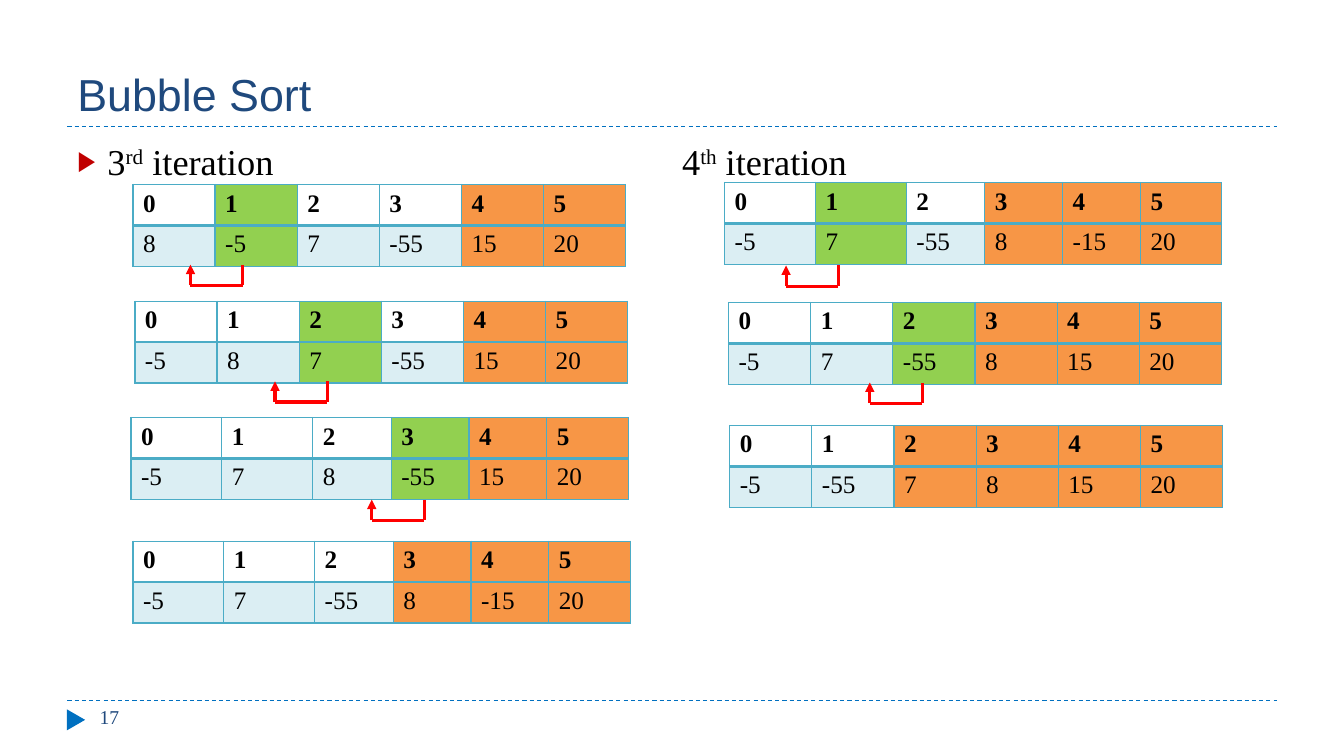
from lxml import etree
from pptx import Presentation
from pptx.dml.color import RGBColor
from pptx.enum.dml import MSO_LINE
from pptx.enum.shapes import MSO_CONNECTOR, MSO_SHAPE
from pptx.enum.text import MSO_ANCHOR
from pptx.oxml.ns import qn
from pptx.util import Cm, Pt

STRAIGHT = MSO_CONNECTOR.STRAIGHT
TRIANGLE = MSO_SHAPE.ISOSCELES_TRIANGLE
DASH = MSO_LINE.DASH
TOP = MSO_ANCHOR.TOP
BOTTOM = MSO_ANCHOR.BOTTOM

COLORS = {
    "title": "1F497D",
    "rule": "0070C0",
    "bullet": "C00000",
    "text": "000000",
    "grid": "4BACC6",
    "current": "92D050",
    "sorted": "F79646",
    "swap": "FF0000",
}
SERIF = "Times New Roman"
SANS = "Arial"
EVEN = [2.07] * 6
UNEVEN = [2.29, 2.29, 1.98, 1.96, 1.96, 2.05]
ROW_HEIGHT = 1.03
SWAP_WIDTH = 1.32
SWAP_HEIGHT = 0.52

STEPS = [
    (3.35, 4.65, EVEN, "8 -5 7 -55 15 20", 1, 4),
    (3.4, 7.59, EVEN, "-5 8 7 -55 15 20", 2, 4),
    (3.3, 10.52, UNEVEN, "-5 7 8 -55 15 20", 3, 4),
    (3.35, 13.64, UNEVEN, "-5 7 -55 8 -15 20", None, 3),
    (18.26, 4.6, UNEVEN, "-5 7 -55 8 -15 20", 1, 3),
    (18.36, 7.62, EVEN, "-5 7 -55 8 15 20", 2, 3),
    (18.39, 10.72, EVEN, "-5 -55 7 8 15 20", None, 2),
]
SWAPS = [(4.8, 7.19), (6.93, 10.13), (9.37, 13.11), (19.81, 7.21), (21.92, 10.16)]


def color(name):
    return RGBColor.from_string(COLORS[name])


def add_element(parent, tag, **attributes):
    element = etree.SubElement(parent, qn(tag))
    for key, value in attributes.items():
        element.set(key, str(value))
    return element


def write_span(para, text, size=18, font=SERIF, ink="text", bold=False, raised=False):
    span = para.add_run()
    span.text = text
    span.font.size = Pt(size)
    span.font.name = font
    span.font.bold = bold
    span.font.color.rgb = color(ink)
    if raised:
        span.font._element.set("baseline", "30000")


class SortPage:
    def __init__(self, deck):
        self.page = deck.slides.add_slide(deck.slide_layouts[6])

    def line(self, x1, y1, x2, y2, ink, width, dash=None, arrow=False):
        line = self.page.shapes.add_connector(STRAIGHT, Cm(x1), Cm(y1), Cm(x2), Cm(y2))
        line.line.color.rgb = color(ink)
        line.line.width = Pt(width)
        if dash:
            line.line.dash_style = dash
        if arrow:
            add_element(line.line._get_or_add_ln(), "a:tailEnd", type="triangle")
        add_element(line._element.spPr, "a:effectLst")

    def marker(self, left, top, width, height):
        marker = self.page.shapes.add_shape(
            TRIANGLE, Cm(left), Cm(top), Cm(width), Cm(height))
        marker.rotation = 90
        marker.shadow.inherit = False
        marker.fill.solid()
        marker.fill.fore_color.rgb = color("rule")
        marker.line.fill.background()

    def text(self, left, top, width, height, spans, anchor=TOP, **style):
        box = self.page.shapes.add_textbox(Cm(left), Cm(top), Cm(width), Cm(height))
        box.text_frame.word_wrap = True
        box.text_frame.vertical_anchor = anchor
        para = box.text_frame.paragraphs[0]
        for text, raised in spans:
            write_span(para, text, raised=raised, **style)
        return para

    def bullet(self, para, indent, tab):
        para.space_before = Pt(6)
        settings = para._p.get_or_add_pPr()
        settings.set("marL", str(Cm(indent)))
        settings.set("indent", str(-Cm(indent)))
        ink = add_element(settings, "a:buClr")
        add_element(ink, "a:srgbClr", val=COLORS["bullet"])
        add_element(settings, "a:buSzPct", val=76000)
        add_element(settings, "a:buFont", typeface=SANS)
        add_element(settings, "a:buChar", char="▶")
        stops = add_element(settings, "a:tabLst")
        add_element(stops, "a:tab", pos=Cm(tab), algn="l")

    def borders(self, cell, heavy):
        settings = cell._tc.get_or_add_tcPr()
        for side in ("a:lnL", "a:lnR", "a:lnT", "a:lnB"):
            width = 2 if side == heavy else 1
            border = add_element(settings, side, w=Pt(width))
            fill = add_element(border, "a:solidFill")
            add_element(fill, "a:srgbClr", val=COLORS["grid"])

    def fill(self, cell, name, opacity=100):
        cell.fill.solid()
        cell.fill.fore_color.rgb = color(name)
        if opacity < 100:
            shade = cell._tc.tcPr.find(".//" + qn("a:solidFill") + "/" + qn("a:srgbClr"))
            for shade in cell._tc.tcPr.find(qn("a:solidFill")):
                add_element(shade, "a:alpha", val=opacity * 1000)

    def array(self, left, top, widths, values, current, sorted_from):
        rows = [[str(index) for index in range(len(widths))], values.split()]
        table = self.page.shapes.add_table(
            len(rows), len(widths), Cm(left), Cm(top),
            Cm(sum(widths)), Cm(ROW_HEIGHT * len(rows))).table
        table.first_row = False
        table.horz_banding = False
        for column, width in zip(table.columns, widths):
            column.width = Cm(width)
        for row_index, row in enumerate(rows):
            header = row_index == 0
            table.rows[row_index].height = Cm(ROW_HEIGHT)
            for index, value in enumerate(row):
                cell = table.cell(row_index, index)
                write_span(cell.text_frame.paragraphs[0], value, bold=header)
                self.borders(cell, "a:lnB" if header else "a:lnT")
                if index == current:
                    self.fill(cell, "current")
                elif index >= sorted_from:
                    self.fill(cell, "sorted")
                elif header:
                    cell.fill.background()
                else:
                    self.fill(cell, "grid", opacity=20)

    def swap(self, left, bottom):
        right, top = left + SWAP_WIDTH, bottom - SWAP_HEIGHT
        self.line(left, bottom, right, bottom, "swap", 2.25)
        self.line(right, bottom, right, top, "swap", 2.25)
        self.line(left, bottom, left, top, "swap", 2.25, arrow=True)


def main():
    deck = Presentation()
    deck.slide_width = Cm(33.87)
    deck.slide_height = Cm(19.05)
    page = SortPage(deck)
    for y in (17.65, 3.18):
        page.line(1.7, y, 32.18, y, "rule", 0.75, dash=DASH)
    page.marker(1.65, 17.91, 0.53, 0.46)
    page.text(1.7, 0.43, 30.48, 2.74, [("Bubble Sort", False)],
              anchor=BOTTOM, size=32, font=SANS, ink="title")
    page.text(2.26, 17.65, 7.34, 1.02, [("17", False)], size=14, ink="title")
    heading = page.text(1.7, 3.38, 30.48, 13.72, [
        ("3", False), ("rd", True), (" iteration\t4", False),
        ("th", True), (" iteration", False)], size=26)
    page.bullet(heading, indent=0.76, tab=15.24)
    for step in STEPS:
        page.array(*step)
    for swap in SWAPS:
        page.swap(*swap)
    deck.save("out.pptx")


if __name__ == "__main__":
    main()
